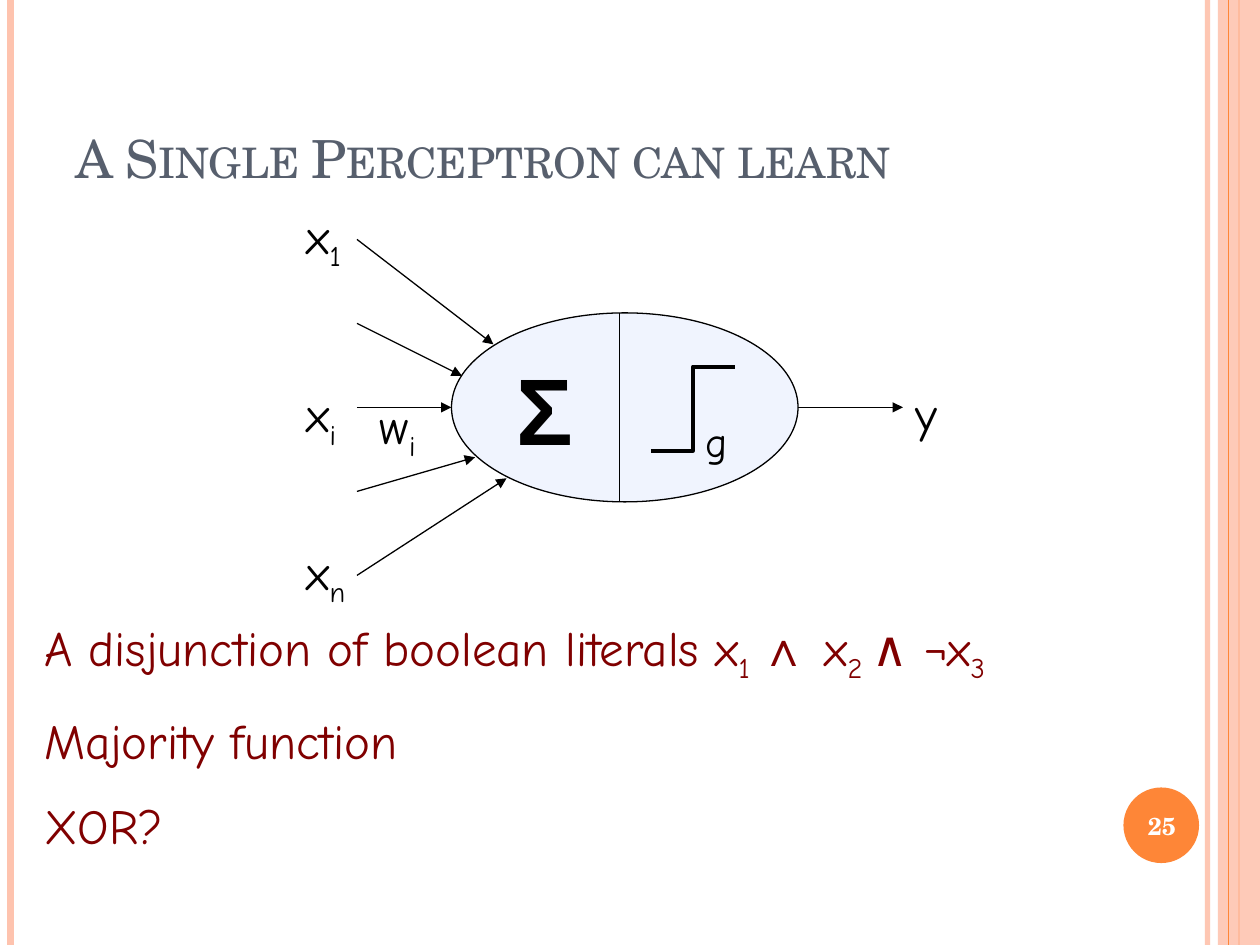
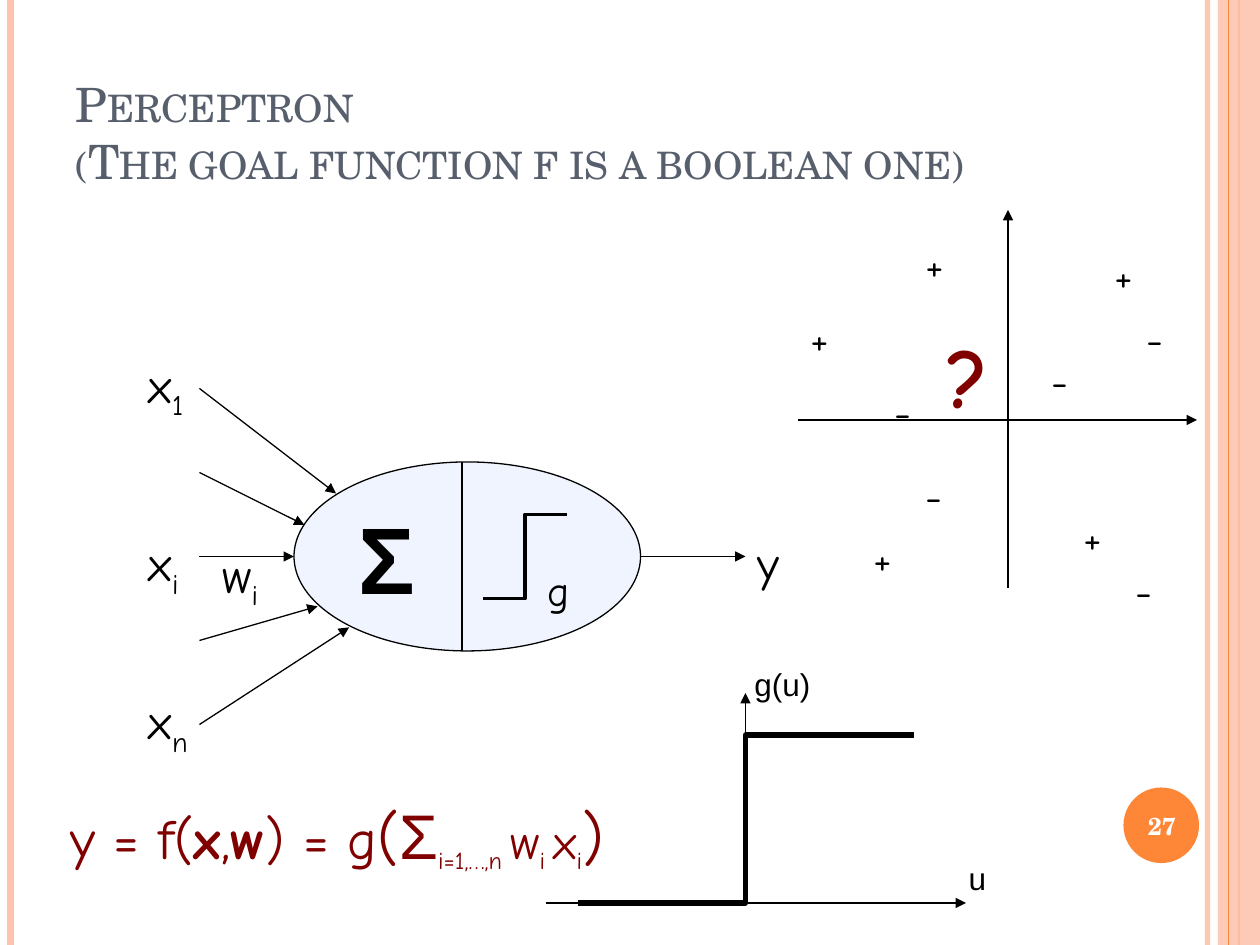
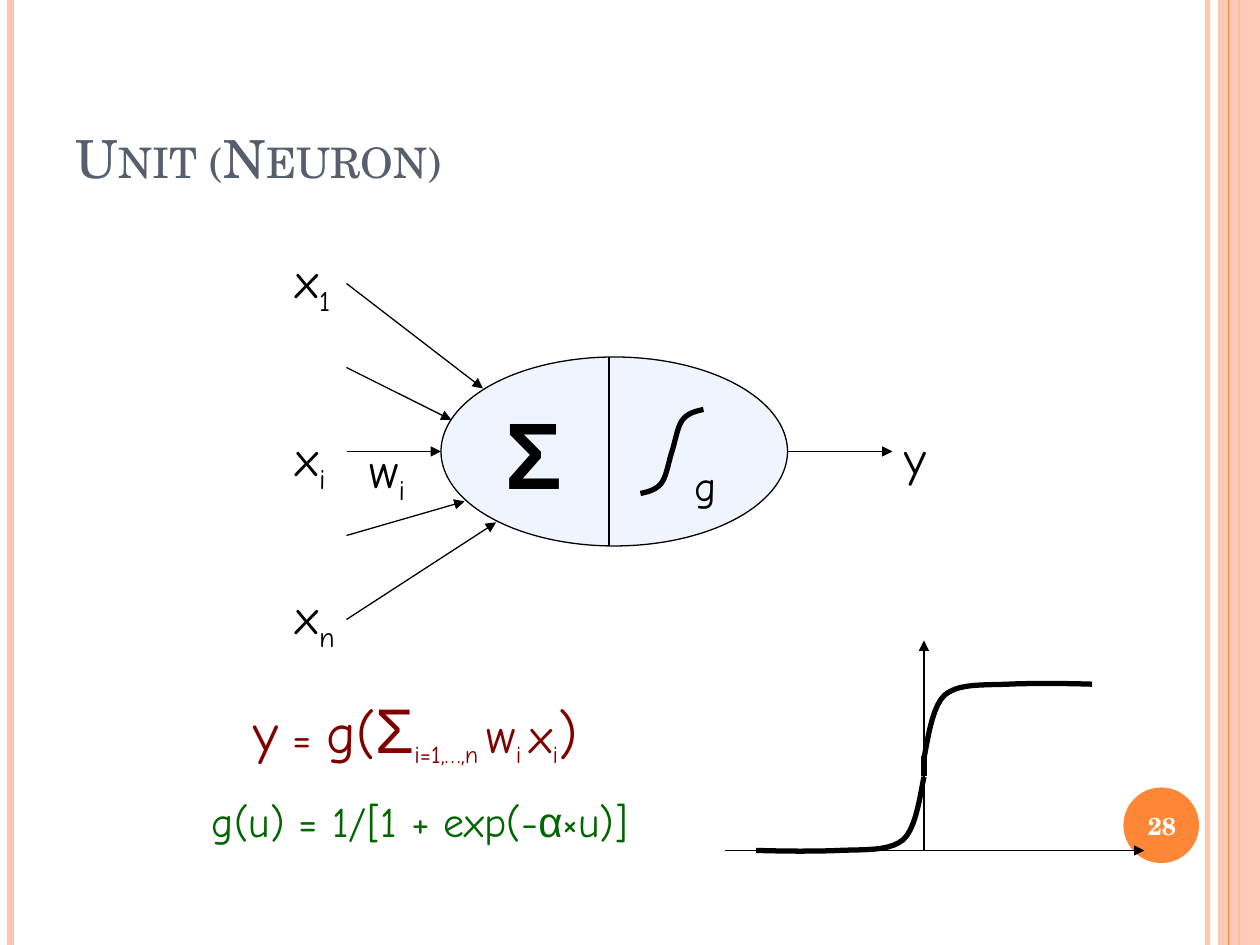
from lxml.etree import SubElement
from pptx import Presentation
from pptx.dml.color import RGBColor
from pptx.enum.shapes import MSO_CONNECTOR, MSO_SHAPE
from pptx.enum.text import MSO_ANCHOR, MSO_AUTO_SIZE, PP_ALIGN
from pptx.oxml.ns import qn
from pptx.util import Pt

COLORS = {
    "title": "575F6D", "band": "FEC3AE", "accent": "FE8637", "cell": "F0F4FE",
    "ink": "000000", "claim": "800000", "formula": "006600", "white": "FFFFFF",
}
SERIF, HAND, SANS = "TeX Gyre Schola", "Comic Neue", "Arial"
TITLE_AND_BODY, TITLE_ONLY = 1, 5

SUB = {"sub": True}
SMALL_SUB = {"sub": True, "size": 24}
# Weighted sum, shared by both formulas; the caller adds the brackets
WEIGHTED_SUM = [
    ("Σ", {"size": 36, "font": SANS}), ("i=1,…,n ", SMALL_SUB),
    ("w", {"size": 28}), ("i ", SMALL_SUB), ("x", {"size": 28}), ("i", SMALL_SUB),
]


def rgb(color):
    return RGBColor.from_string(COLORS[color])


def half_turn(points, center_x, center_y):
    return [(2 * center_x - x, 2 * center_y - y) for x, y in points]


def bezier(points, steps=10):
    """Sample a chain of cubic curves that share their end points."""
    curve = [points[0]]
    for first in range(0, len(points) - 1, 3):
        controls = points[first:first + 4]
        for step in range(1, steps + 1):
            t = step / steps
            weights = ((1 - t) ** 3, 3 * t * (1 - t) ** 2, 3 * t * t * (1 - t), t ** 3)
            curve.append(tuple(sum(w * p[axis] for w, p in zip(weights, controls))
                               for axis in (0, 1)))
    return curve


class Deck:
    def __init__(self):
        self.prs = Presentation()
        self.prs.slide_width, self.prs.slide_height = Pt(720), Pt(540)
        self.slide = self.shapes = None

    # Slide frame
    def new_slide(self, layout, title, number, title_size=30):
        self.slide = self.prs.slides.add_slide(self.prs.slide_layouts[layout])
        self.ungroup()
        if len(self.prs.slides) == 1:
            self.decorate_master()
        heading = self.slide.shapes.title
        frame = self.place(heading, 36, 21.6, 588, 90)
        frame.vertical_anchor = MSO_ANCHOR.BOTTOM
        frame.text = title
        paragraph = frame.paragraphs[0]
        paragraph.alignment = PP_ALIGN.LEFT
        for run in paragraph.runs:
            self.style(run, title_size, "title", SERIF)
            run.font._element.set("cap", "small")
        badge = self.text(640, 451.5, 48, 41, number, 14, "white", SERIF, True, wrap=True)
        badge.vertical_anchor = MSO_ANCHOR.MIDDLE
        badge.auto_size = MSO_AUTO_SIZE.NONE
        badge.paragraphs[0].alignment = PP_ALIGN.CENTER

    def decorate_master(self):
        """Draw the bands and the number disc, then hand them to the master."""
        def rule(x, color, weight):
            return self.line(x, 0, x, 540, color, weight, arrow=False)
        inner_rule = rule(690, "band", 3)
        self.fade(inner_rule, 93)
        parts = [inner_rule, rule(6, "band", 4.5), rule(708, "accent", 1.5)]
        band = self.shape(MSO_SHAPE.RECTANGLE, 696, 0, 24, 540, "band")
        self.fade(band, 87)
        parts += [band, rule(702, "accent", 0.75),
                  self.shape(MSO_SHAPE.OVAL, 642, 450, 43.2, 43.2, "accent")]
        tree = self.prs.slide_master.shapes.element
        for number, part in enumerate(parts, start=101):
            part.element.xpath(".//p:cNvPr")[0].set("id", str(number))
            tree.append(part.element)

    def group(self):
        self.shapes = self.slide.shapes.add_group_shape().shapes

    def ungroup(self):
        self.shapes = self.slide.shapes

    # Text
    @staticmethod
    def place(holder, x, y, width, height):
        holder.left, holder.top = Pt(x), Pt(y)
        holder.width, holder.height = Pt(width), Pt(height)
        holder.text_frame.auto_size = MSO_AUTO_SIZE.NONE
        return holder.text_frame

    @staticmethod
    def style(run, size, color, font=HAND, bold=False, sub=False):
        run.font.size, run.font.name, run.font.bold = Pt(size), font, bold
        run.font.color.rgb = rgb(color)
        if sub:
            run.font._element.set("baseline", "-25000")

    def add_runs(self, paragraph, pieces, size, color, font=HAND, bold=False):
        if isinstance(pieces, str):
            pieces = [(pieces, {})]
        for words, changes in pieces:
            run = paragraph.add_run()
            run.text = words
            self.style(run, **{"size": size, "color": color, "font": font,
                               "bold": bold, **changes})

    def text(self, x, y, width, height, pieces, size, color="ink", font=HAND,
             bold=False, wrap=False):
        frame = self.shapes.add_textbox(Pt(x), Pt(y), Pt(width), Pt(height)).text_frame
        frame.word_wrap = wrap
        frame.auto_size = MSO_AUTO_SIZE.SHAPE_TO_FIT_TEXT
        self.add_runs(frame.paragraphs[0], pieces, size, color, font, bold)
        return frame

    def claims(self, x, y, width, height, lines):
        frame = self.place(self.slide.placeholders[1], x, y, width, height)
        for index, pieces in enumerate(lines):
            paragraph = frame.add_paragraph() if index else frame.paragraphs[0]
            self.add_runs(paragraph, pieces, 28, "claim")
            paragraph.space_before = Pt(15 if index else 0)
            layout = paragraph._p.get_or_add_pPr()
            layout.set("marL", "0")
            layout.set("indent", "0")
            SubElement(layout, qn("a:buNone"))

    # Shapes and lines
    @staticmethod
    def fade(part, percent):
        for color in part.element.spPr.iter(qn("a:srgbClr")):
            SubElement(color, qn("a:alpha")).set("val", str(percent * 1000))

    def shape(self, kind, x, y, width, height, fill, outlined=False):
        shape = self.shapes.add_shape(kind, Pt(x), Pt(y), Pt(width), Pt(height))
        shape.shadow.inherit = False
        shape.fill.solid()
        shape.fill.fore_color.rgb = rgb(fill)
        if outlined:
            shape.line.color.rgb, shape.line.width = rgb("ink"), Pt(0.75)
        else:
            shape.line.fill.background()
        return shape

    def line(self, x1, y1, x2, y2, color="ink", weight=0.75, arrow=True):
        line = self.shapes.add_connector(MSO_CONNECTOR.STRAIGHT,
                                         Pt(x1), Pt(y1), Pt(x2), Pt(y2))
        line.line.color.rgb, line.line.width = rgb(color), Pt(weight)
        properties = line.element.spPr
        if arrow:
            SubElement(properties.find(qn("a:ln")), qn("a:tailEnd")).set("type", "triangle")
        SubElement(properties, qn("a:effectLst"))
        return line

    def outline(self, points, weight):
        start, *rest = [(Pt(x), Pt(y)) for x, y in points]
        builder = self.shapes.build_freeform(*start)
        builder.add_line_segments(rest, close=False)
        curve = builder.convert_to_shape()
        curve.shadow.inherit = False
        curve.fill.background()
        curve.line.color.rgb, curve.line.width = rgb("ink"), Pt(weight)

    def step(self, x, y, half_width, height, weight):
        middle = x + half_width
        self.outline([(x, y + height), (middle, y + height), (middle, y),
                      (middle + half_width, y)], weight)

    # Diagram parts
    def neuron(self, x, y):
        """Inputs, cell body and output; x, y is the corner of the cell."""
        self.group()
        self.shape(MSO_SHAPE.OVAL, x, y, 198, 108, "cell", outlined=True)
        self.line(x + 96, y, x + 96, y + 108, arrow=False)
        self.text(x + 30, y + 18, 47, 72, "Σ", 54, font=SANS, bold=True)
        cell_ends = [(24, 18), (6, 36), (0, 54), (13.5, 82.5), (31.5, 94.5)]
        for index, (dx, dy) in enumerate(cell_ends):
            self.line(x - 54, y - 42 + 48 * index, x + dx, y + dy)
        self.line(x + 198, y + 54, x + 258, y + 54)
        self.text(x + 138, y + 55, 27.5, 36, "g", 24)
        for letter, index, dx, dy, width in (
                ("x", "i", -90, 37, 37), ("x", "1", -90, -64.8, 39.5),
                ("x", "n", -90, 127.2, 41), ("w", "i", -48, 43.4, 39)):
            self.text(x + dx, y + dy, width, 41, [(letter, {}), (index, SUB)], 28)
        self.text(x + 258, y + 37, 29, 41, "y", 28)

    def axes(self, x, y):
        self.line(x, y, x + 240, y)
        self.line(x + 114, y, x + 114, y - 120)


def learnable_functions(deck):
    deck.new_slide(TITLE_AND_BODY, "A Single Perceptron can learn", "25")
    deck.claims(18, 349, 654, 140, [
        [("A disjunction of boolean literals x", {}), ("1 ", SUB), ("∧", {"font": SANS}),
         (" x", {}), ("2 ", SUB), ("∧ ¬x", {}), ("3", SUB)],
        "Majority function",
        "XOR?",
    ])
    deck.neuron(258, 178.8)
    deck.step(372, 209.5, 24, 48, 2.25)


def boolean_perceptron(deck):
    deck.new_slide(TITLE_ONLY, "Perceptron\v(The goal function f is a boolean one)", "27", 27)
    deck.neuron(168, 264)
    deck.step(276, 294, 24, 48, 2.25)

    # Threshold function
    deck.group()
    deck.axes(312, 516)
    deck.step(330, 420, 96, 96, 3)

    # Samples that no line separates
    deck.group()
    deck.line(576, 336, 576, 120)
    deck.line(456, 240, 684, 240)
    samples = {
        "+": [(522, 133), (630, 139), (492, 301), (612, 289), (456, 175)],
        "-": [(648, 175), (642, 319), (504, 217), (594, 199), (522, 265)],
    }
    for sign, spots in samples.items():
        for x, y in spots:
            deck.text(x, y, 26 if sign == "+" else 24.5, 36, sign, 24)

    # Labels and formula
    deck.ungroup()
    deck.text(534, 182, 42, 65, "?", 48, "claim", bold=True)
    bold, tall = {"bold": True}, {"size": 36}
    deck.text(33, 451.5, 361, 51, [
        ("y = f(", {}), ("x", bold), (",", {}), ("w", bold), (") = g", {}), ("(", tall),
        *WEIGHTED_SUM, (")", tall)], 32, "claim")
    deck.text(424, 376.5, 47, 29, "g(u)", 18, font=SANS)
    deck.text(546.5, 487.5, 24.5, 29, "u", 18, font=SANS)


def sigmoid_unit(deck):
    deck.new_slide(TITLE_ONLY, "Unit (Neuron)", "28")
    deck.neuron(252, 204)
    upper_half = [(402, 234), (397.5, 235), (393, 236), (390, 240),
                  (387, 244), (386, 252), (384, 258)]
    lower_half = half_turn(upper_half, 384, 258)[::-1]
    deck.outline(bezier(upper_half + lower_half[1:]), 3)

    # Formulas
    deck.ungroup()
    deck.text(138, 391, 224, 50.5, [
        ("y", {}), (" = ", {"size": 24}), ("g(", {}), *WEIGHTED_SUM, (")", {})], 32, "claim")
    deck.text(114, 451, 269, 36, [
        ("g(u) = 1/[1 + exp(-", {}), ("α", {"font": SANS}), ("×u)]", {})], 24, "formula")

    # Sigmoid function
    deck.group()
    deck.axes(414, 486)
    rise = [(432, 486), (449.3, 486.5), (466, 486.6), (480, 486), (494, 485.4),
            (508, 486.5), (516, 480), (524, 473), (526.3, 450.7), (528, 444)]
    for half in (rise, half_turn(rise, 528, 438.5)):
        deck.outline(bezier(half), 3)
    deck.line(528, 432, 528, 443.5, weight=3, arrow=False)


def main():
    deck = Deck()
    learnable_functions(deck)
    boolean_perceptron(deck)
    sigmoid_unit(deck)
    deck.prs.save("out.pptx")


if __name__ == "__main__":
    main()
